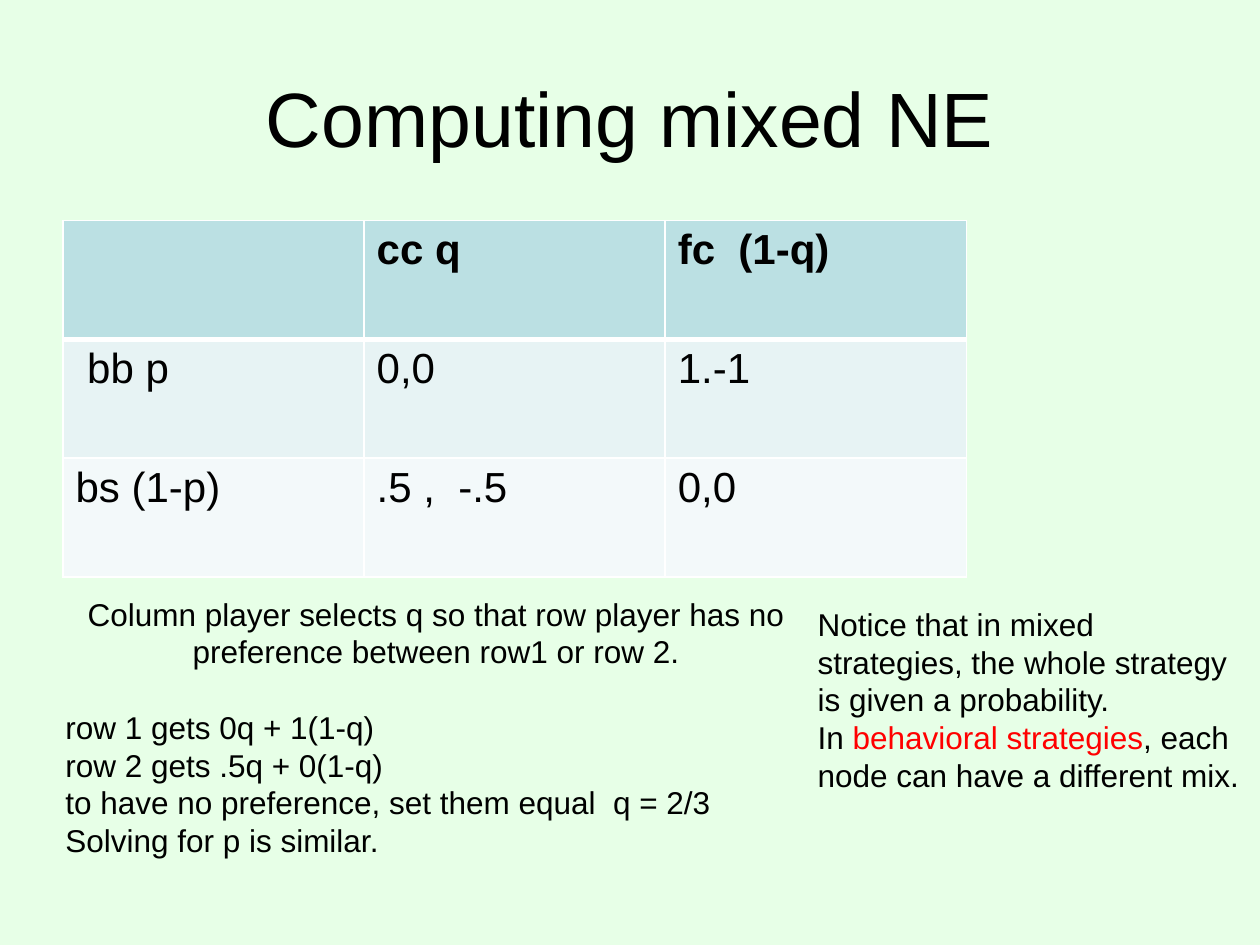
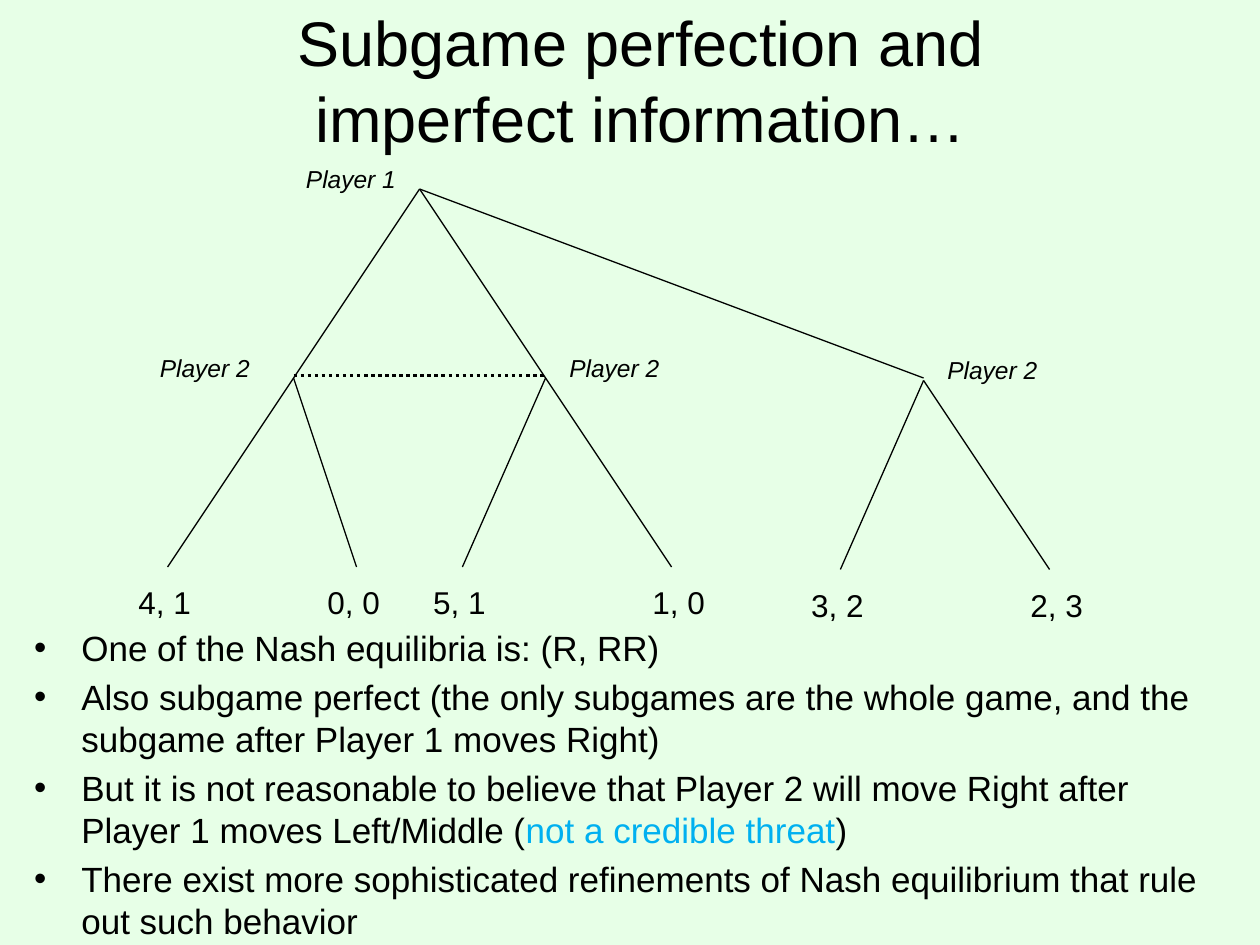
from lxml.etree import SubElement
from pptx import Presentation
from pptx.dml.color import RGBColor
from pptx.enum.dml import MSO_LINE
from pptx.enum.shapes import MSO_CONNECTOR
from pptx.enum.text import MSO_ANCHOR, MSO_AUTO_SIZE, PP_ALIGN
from pptx.oxml.ns import qn
from pptx.util import Inches, Pt

FONT = "Arial"
COLORS = {
    "background": "E7FFE7", "text": "000000", "border": "FFFFFF",
    "header": "BBE0E3", "odd_row": "E7F3F4", "even_row": "F3F9FA",
    "red": "FF0000", "blue": "00B0F0",
}
TITLE_ONLY, TITLE_AND_BODY = 5, 1


def color(name):
    return RGBColor.from_string(COLORS[name])


# Shared text and line helpers
def write(frame, paragraphs, size, bold=False, italic=False):
    """Fill a frame; a paragraph is a string or a list of (text, color name)."""
    frame.word_wrap = True
    for index, content in enumerate(paragraphs):
        para = frame.paragraphs[0] if index == 0 else frame.add_paragraph()
        spans = [(content, "text")] if isinstance(content, str) else content
        for text, color_name in spans:
            span = para.add_run()
            span.text = text
            span.font.name = FONT
            span.font.size = Pt(size)
            span.font.bold = bold
            span.font.italic = italic
            span.font.color.rgb = color(color_name)


def place(shape, box):
    shape.left, shape.top, shape.width, shape.height = map(Inches, box)


def add_text(page, box, paragraphs, size, italic=False):
    frame = page.shapes.add_textbox(*map(Inches, box)).text_frame
    write(frame, paragraphs, size, italic=italic)
    return frame


def add_title(page, box, text, size):
    title = page.shapes.title
    place(title, box)
    frame = title.text_frame
    frame.auto_size = MSO_AUTO_SIZE.NONE
    frame.vertical_anchor = MSO_ANCHOR.MIDDLE
    write(frame, [text], size)
    frame.paragraphs[0].alignment = PP_ALIGN.CENTER


def add_line(page, start, end, width=0.75, dash=None):
    line = page.shapes.add_connector(
        MSO_CONNECTOR.STRAIGHT, *map(Inches, (*start, *end)))
    line.line.color.rgb = color("text")
    line.line.width = Pt(width)
    if dash:
        line.line.dash_style = dash
    SubElement(line._element.spPr, qn("a:effectLst"))


# Payoff table
def set_borders(cell, top, bottom):
    properties = cell._tc.get_or_add_tcPr()
    for side, width in (("L", 1), ("R", 1), ("T", top), ("B", bottom)):
        border = SubElement(properties, qn(f"a:ln{side}"), w=str(Pt(width)))
        fill = SubElement(border, qn("a:solidFill"))
        SubElement(fill, qn("a:srgbClr"), val=COLORS["border"])


def add_payoff_table(page, box, rows):
    table = page.shapes.add_table(
        len(rows), len(rows[0]), *map(Inches, box)).table
    fills = ("header", "odd_row", "even_row")
    for row, texts in enumerate(rows):
        for column, text in enumerate(texts):
            cell = table.cell(row, column)
            set_borders(cell, top=3 if row == 1 else 1,
                        bottom=3 if row == 0 else 1)
            cell.fill.solid()
            cell.fill.fore_color.rgb = color(fills[row])
            if text:
                write(cell.text_frame, [text], 24, bold=row == 0)


# Game tree
def add_game_tree(page, box, subgames):
    left, top, width, height = box
    root = (left + 2, top)
    middle = top + height / 2

    def add_player(name, x, y):
        add_text(page, (x, y - 0.25, 1, 0.33), [name], 14, italic=True)

    add_player("Player 1", root[0] - 1, top)
    for node_x, label_shift, drop, leaves in subgames:
        x = left + node_x
        add_line(page, root, (x, middle))
        add_player("Player 2", x + label_shift, middle + drop)
        for leaf_x, payoff, payoff_shift in leaves:
            end_x, end_y = left + leaf_x, top + height + drop
            add_line(page, (x, middle + drop), (end_x, end_y))
            add_text(page, (end_x - payoff_shift, end_y + 0.08, 1, 0.4),
                     [payoff], 18)

    # Information set joining the first two nodes
    first, second = (left + subgame[0] for subgame in subgames[:2])
    add_line(page, (first, middle - 0.02), (second, middle - 0.02),
             2, MSO_LINE.ROUND_DOT)


def add_bullets(page, box, paragraphs):
    body = page.placeholders[1]
    place(body, box)
    body.text_frame.auto_size = MSO_AUTO_SIZE.NONE
    write(body.text_frame, paragraphs, 20)


# Slides
def build_mixed_equilibrium(deck):
    page = deck.slides.add_slide(deck.slide_layouts[TITLE_ONLY])
    add_title(page, (0.5, 0.3, 9, 1.25), "Computing mixed NE", 44)
    add_payoff_table(page, (0.5, 1.75, 7.17, 2.83), [
        ("", "cc q", "fc  (1-q)"),
        (" bb p", "0,0", "1.-1"),
        ("bs (1-p)", ".5 ,  -.5", "0,0"),
    ])
    solution = add_text(page, (0.42, 4.67, 6.08, 2.22), [
        "Column player selects q so that row player has no preference "
        "between row1 or row 2.",
        "row 1 gets 0q + 1(1-q)",
        "row 2 gets .5q + 0(1-q)",
        "to have no preference, set them equal  q = 2/3",
        "Solving for p is similar.",
    ], 18)
    solution.paragraphs[0].alignment = PP_ALIGN.CENTER
    solution.paragraphs[1].space_before = Pt(21.5)
    add_text(page, (6.39, 4.75, 3.61, 1.62), [
        "Notice that in mixed",
        "strategies, the whole strategy",
        "is given a probability.",
        [("In ", "text"), ("behavioral strategies", "red"),
         (", each node can have a different mix.", "text")],
    ], 18)


def build_subgame_perfection(deck):
    page = deck.slides.add_slide(deck.slide_layouts[TITLE_AND_BODY])
    add_title(page, (1.67, 0.17, 6.83, 0.92),
              "Subgame perfection and imperfect information…", 36)
    # Each subgame: node x, label shift, drop, leaves (x, payoff, shift)
    add_game_tree(page, (1.33, 1.5, 7, 3), [
        (1, -1.16, 0, [(0, "4, 1", 0.33), (1.5, "0, 0", 0.33)]),
        (3, 0.09, 0, [(2.34, "5, 1", 0.33), (4, "1, 0", 0.25)]),
        (6, 0.09, 0.02, [(5.34, "3, 2", 0.33), (7, "2, 3", 0.25)]),
    ])
    add_bullets(page, (0.17, 4.92, 9.75, 2.55), [
        "One of the Nash equilibria is: (R, RR)",
        "Also subgame perfect (the only subgames are the whole game, and "
        "the subgame after Player 1 moves Right)",
        [("But it is not reasonable to believe that Player 2 will move "
          "Right after Player 1 moves Left/Middle (", "text"),
         ("not a credible threat", "blue"), (")", "text")],
        "There exist more sophisticated refinements of Nash equilibrium "
        "that rule out such behavior",
    ])


def main():
    deck = Presentation()
    deck.slide_width, deck.slide_height = Inches(10), Inches(7.5)
    background = deck.slide_master.background.fill
    background.solid()
    background.fore_color.rgb = color("background")
    build_mixed_equilibrium(deck)
    build_subgame_perfection(deck)
    deck.save("out.pptx")


if __name__ == "__main__":
    main()
